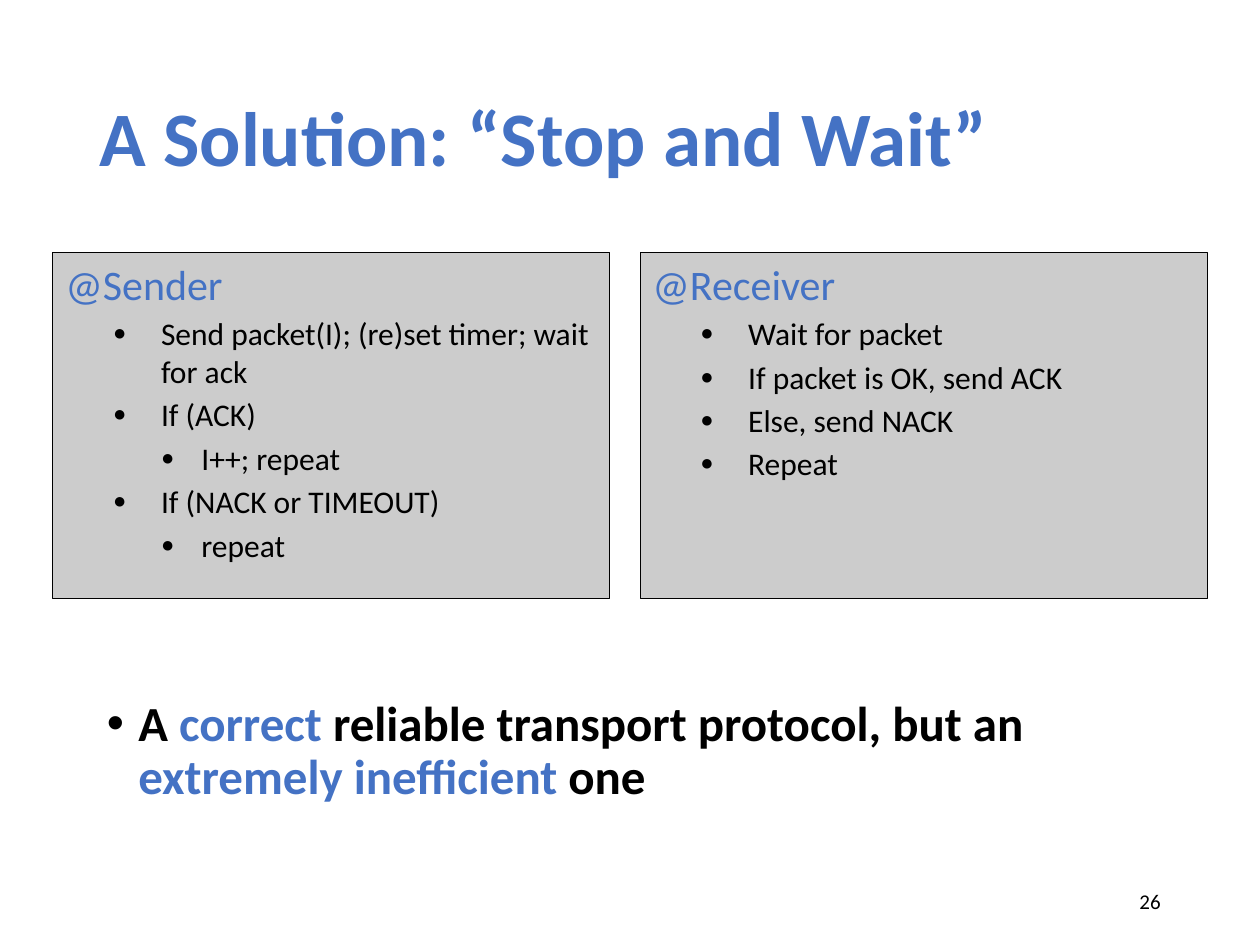
from lxml.etree import SubElement
from pptx import Presentation
from pptx.dml.color import RGBColor
from pptx.enum.shapes import MSO_SHAPE
from pptx.enum.text import MSO_ANCHOR, PP_ALIGN
from pptx.oxml.ns import qn
from pptx.util import Inches, Pt

BLUE, BLACK, GREY = "4472C4", "000000", "CCCCCC"


def add_run(para, text, size, color, bold=False):
    run = para.add_run()
    run.text = text
    font = run.font
    font.name, font.size, font.bold = "Calibri", Pt(size), bold
    font.color.rgb = RGBColor.from_string(color)


def add_bullet(para, char, left, hang, scale=100):
    """Give a paragraph a black bullet and a hanging indent in inches."""
    props = para._p.get_or_add_pPr()
    props.set("marL", str(Inches(left)))
    props.set("indent", str(-Inches(hang)))
    color = SubElement(props, qn("a:buClr"))
    SubElement(color, qn("a:srgbClr"), val=BLACK)
    SubElement(props, qn("a:buSzPct"), val=str(scale * 1000))
    SubElement(props, qn("a:buFont"), typeface="Arial")
    SubElement(props, qn("a:buChar"), char=char)


deck = Presentation()
deck.slide_width, deck.slide_height = Inches(10), Inches(7.5)
slide = deck.slides.add_slide(deck.slide_layouts[6])
shapes = slide.shapes

# Title
title = shapes.add_textbox(Inches(0.69), Inches(0.4), Inches(8.62), Inches(1.45))
frame = title.text_frame
frame.word_wrap = True
frame.vertical_anchor = MSO_ANCHOR.MIDDLE
para = frame.paragraphs[0]
para.line_spacing = 0.9
add_run(para, "A Solution: “Stop and Wait”", 44, BLUE, True)

# Sender and receiver panels: left, width, heading, (level, step)
panels = [
    (0.42, 4.42, "@Sender", [
        (1, "Send packet(I); (re)set timer; wait for ack"),
        (1, "If (ACK)"),
        (2, "I++; repeat"),
        (1, "If (NACK or TIMEOUT)"),
        (2, "repeat"),
    ]),
    (5.08, 4.5, "@Receiver", [
        (1, "Wait for packet"),
        (1, "If packet is OK, send ACK"),
        (1, "Else, send NACK"),
        (1, "Repeat"),
    ]),
]
indents = {1: (0.76, 0.38), 2: (1.08, 0.32)}

for left, width, heading, steps in panels:
    panel = shapes.add_shape(
        MSO_SHAPE.RECTANGLE, Inches(left), Inches(2), Inches(width), Inches(2.75))
    panel.shadow.inherit = False
    panel.fill.solid()
    panel.fill.fore_color.rgb = RGBColor.from_string(GREY)
    panel.line.color.rgb = RGBColor.from_string(BLACK)
    panel.line.width = Pt(0.5)
    frame = panel.text_frame
    frame.word_wrap = True
    frame.vertical_anchor = MSO_ANCHOR.TOP
    para = frame.paragraphs[0]
    para.alignment = PP_ALIGN.LEFT
    add_run(para, heading, 24, BLUE)
    for level, step in steps:
        para = frame.add_paragraph()
        para.level = level
        para.alignment = PP_ALIGN.LEFT
        para.space_before = Pt(3.2)
        add_bullet(para, "●", *indents[level], scale=70)
        add_run(para, step, 18, BLACK)

# Verdict
verdict = shapes.add_textbox(Inches(0.75), Inches(5.5), Inches(8.83), Inches(1.08))
frame = verdict.text_frame
frame.word_wrap = True
para = frame.paragraphs[0]
para.line_spacing = 0.9
add_bullet(para, "•", 0.25, 0.25)
for text, color in [
    ("A ", BLACK),
    ("correct ", BLUE),
    ("reliable transport protocol, but an ", BLACK),
    ("extremely inefficient ", BLUE),
    ("one", BLACK),
]:
    add_run(para, text, 28, color, True)

# Page number
page = shapes.add_textbox(Inches(7.06), Inches(6.95), Inches(2.25), Inches(0.4))
frame = page.text_frame
frame.word_wrap = True
frame.vertical_anchor = MSO_ANCHOR.MIDDLE
para = frame.paragraphs[0]
para.alignment = PP_ALIGN.RIGHT
add_run(para, "26", 12, BLACK)

deck.save("out.pptx")
